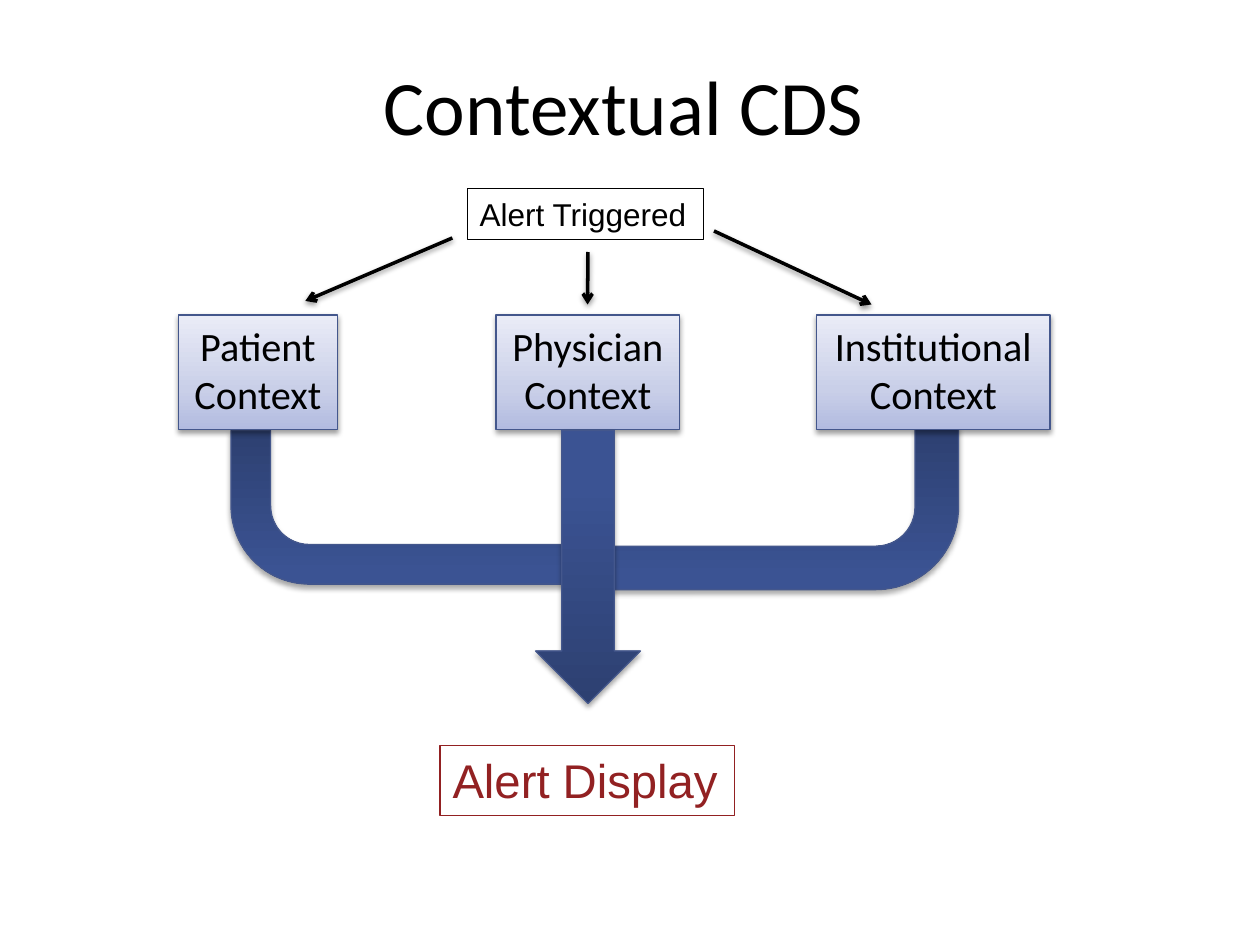
from copy import deepcopy

from lxml import etree
from pptx import Presentation
from pptx.dml.color import RGBColor
from pptx.enum.shapes import MSO_CONNECTOR, MSO_SHAPE
from pptx.enum.text import MSO_ANCHOR, MSO_AUTO_SIZE, PP_ALIGN
from pptx.oxml.ns import qn
from pptx.util import Pt

THEME = {
    "heading_font": "Calibri", "label_font": "Arial",
    "title_size": 44, "context_size": 23, "trigger_size": 18, "display_size": 27,
    "ink": "000000", "alert": "922122", "outline": "44578C", "line": 0.75, "arrow": 2,
    "flow": [(0, "2D4071"), (0.8, "3B5393"), (1, "395295")],
    "panel": [(0, "B2BBE0"), (0.35, "C9CFE8"), (1, "EAECF7")],
    "flow_shadow": (35, 1.8), "panel_shadow": (38, 1.6),  # opacity %, distance
}

# Content; boxes are (left, top, width, height) in points
TITLE = ("Contextual CDS", (32.4, 26, 648, 67.7))
CONTEXT_TOP, CONTEXT_HEIGHT = 180, 65.5
CONTEXTS = [  # name, left, width
    ("Patient", 102, 91),
    ("Physician", 283.5, 105),
    ("Institutional", 466.75, 133.25),
]
TRIGGER = ("Alert Triggered", (267, 107.75, 135, 29))
DISPLAY = ("Alert Display", (251.5, 426, 168.25, 40))
TRIGGER_ARROWS = [  # from, to
    ((408, 132), (498, 174)),
    ((336, 144), (335.75, 174)),
    ((258.5, 136), (174.5, 172)),
]
INSTITUTION_FLOW = ((347.75, 243.5, 200, 108), (0.23, 0.25, 0, 0.438))
PATIENT_FLOW = ((132, 246, 204, 102), (0.222, 0.25, 0, 0.438))
PHYSICIAN_FLOW = (306, 246, 60, 156)


def points(values):
    return [Pt(value) for value in values]


def colour(name):
    return RGBColor.from_string(THEME.get(name, name))


def add_shadow(effects, style):
    opacity, distance = THEME[style]
    shadow = etree.SubElement(
        effects, qn("a:outerShdw"), blurRad=str(Pt(3.1)), dist=str(Pt(distance)),
        dir="5400000", rotWithShape="0")
    black = etree.SubElement(shadow, qn("a:srgbClr"), val="000000")
    etree.SubElement(black, qn("a:alpha"), val=str(opacity * 1000))


def outline(shape, name):
    shape.line.color.rgb = colour(name)
    shape.line.width = Pt(THEME["line"])


def shade(shape, style):
    """Give a shape its three-stop gradient, outline and soft shadow."""
    shape.fill.gradient()
    shape.fill.gradient_angle = 90
    properties = shape._element.spPr
    stop_list = properties.find(qn("a:gradFill")).find(qn("a:gsLst"))
    stop_list.append(deepcopy(stop_list[-1]))
    for stop, (position, value) in zip(shape.fill.gradient_stops, THEME[style]):
        stop.position = position
        stop.color.rgb = colour(value)
    outline(shape, "outline")
    shape.shadow.inherit = False
    add_shadow(properties.find(qn("a:effectLst")), style + "_shadow")


def add_flow(slide, kind, box, adjustments=()):
    flow = slide.shapes.add_shape(kind, *points(box))
    for index, value in enumerate(adjustments):
        flow.adjustments[index] = value
    shade(flow, "flow")
    return flow


def add_text(slide, text, box, font, size, ink="ink", align=PP_ALIGN.LEFT):
    label = slide.shapes.add_textbox(*points(box))
    frame = label.text_frame
    frame.text = text
    frame.word_wrap = False
    frame.auto_size = MSO_AUTO_SIZE.SHAPE_TO_FIT_TEXT
    for paragraph in frame.paragraphs:
        paragraph.alignment = align
        for run in paragraph.runs:
            run.font.name = THEME[font]
            run.font.size = Pt(THEME[size])
            run.font.color.rgb = colour(ink)
    return label


def add_arrow(slide, start, end):
    arrow = slide.shapes.add_connector(
        MSO_CONNECTOR.STRAIGHT, *points(start + end))
    arrow.line.color.rgb = colour("ink")
    arrow.line.width = Pt(THEME["arrow"])
    properties = arrow._element.spPr
    etree.SubElement(properties.find(qn("a:ln")), qn("a:tailEnd"), type="arrow")
    add_shadow(etree.SubElement(properties, qn("a:effectLst")), "panel_shadow")


def main():
    deck = Presentation()
    deck.slide_width, deck.slide_height = Pt(720), Pt(540)
    slide = deck.slides.add_slide(deck.slide_layouts[6])

    # Side flows, behind the context boxes
    add_flow(slide, MSO_SHAPE.BENT_ARROW, *INSTITUTION_FLOW).rotation = 180
    patient_flow = add_flow(slide, MSO_SHAPE.BENT_ARROW, *PATIENT_FLOW)
    patient_flow._element.spPr.find(qn("a:xfrm")).set("flipV", "1")

    # Title
    title = add_text(slide, *TITLE, "heading_font", "title_size", align=PP_ALIGN.CENTER)
    title.text_frame.auto_size = MSO_AUTO_SIZE.NONE
    title.text_frame.word_wrap = True
    title.text_frame.vertical_anchor = MSO_ANCHOR.MIDDLE

    # Context boxes
    for name, left, width in CONTEXTS:
        context = add_text(
            slide, f"{name}\nContext", (left, CONTEXT_TOP, width, CONTEXT_HEIGHT),
            "heading_font", "context_size", align=PP_ALIGN.CENTER)
        shade(context, "panel")

    # Arrows from the trigger to each context
    for start, end in TRIGGER_ARROWS:
        add_arrow(slide, start, end)

    # Alert labels
    display = add_text(slide, *DISPLAY, "label_font", "display_size", "alert")
    outline(display, "alert")
    trigger = add_text(slide, *TRIGGER, "label_font", "trigger_size")
    outline(trigger, "ink")

    # Central flow, in front
    add_flow(slide, MSO_SHAPE.DOWN_ARROW, PHYSICIAN_FLOW)

    deck.save("out.pptx")


if __name__ == "__main__":
    main()
